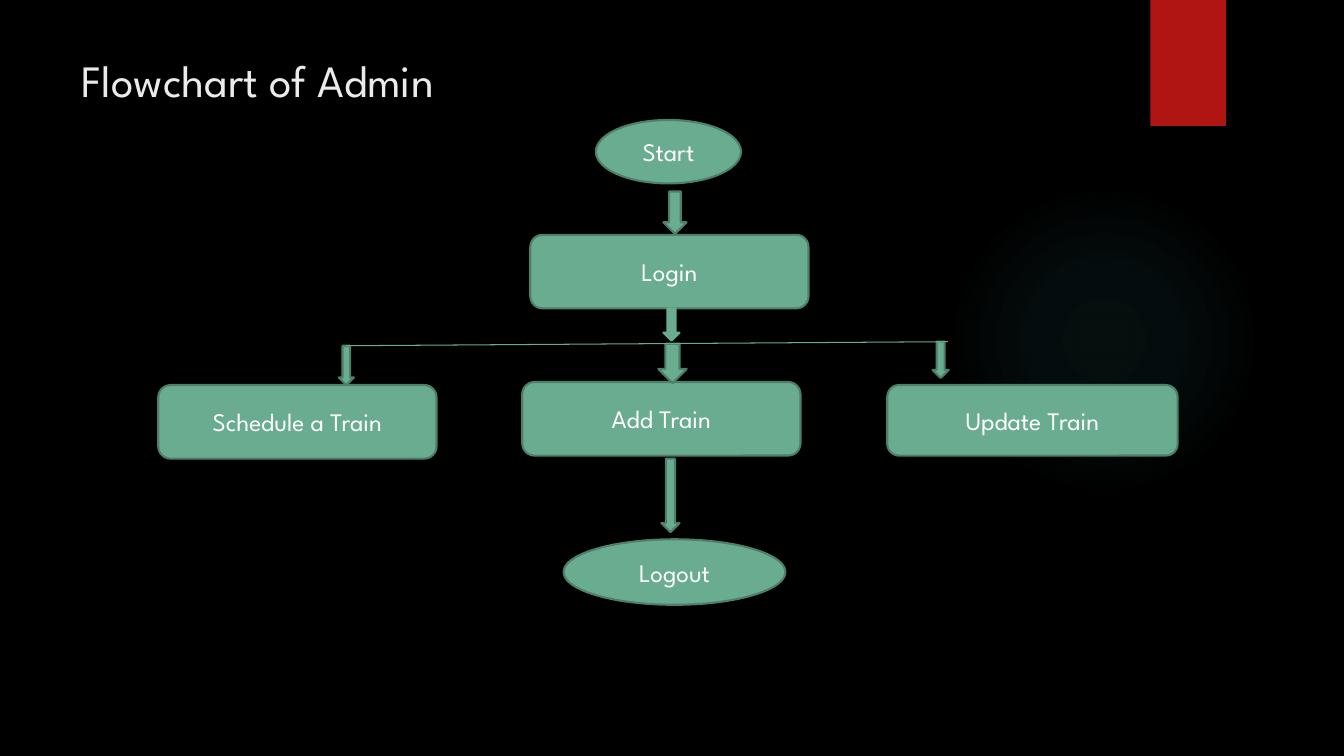
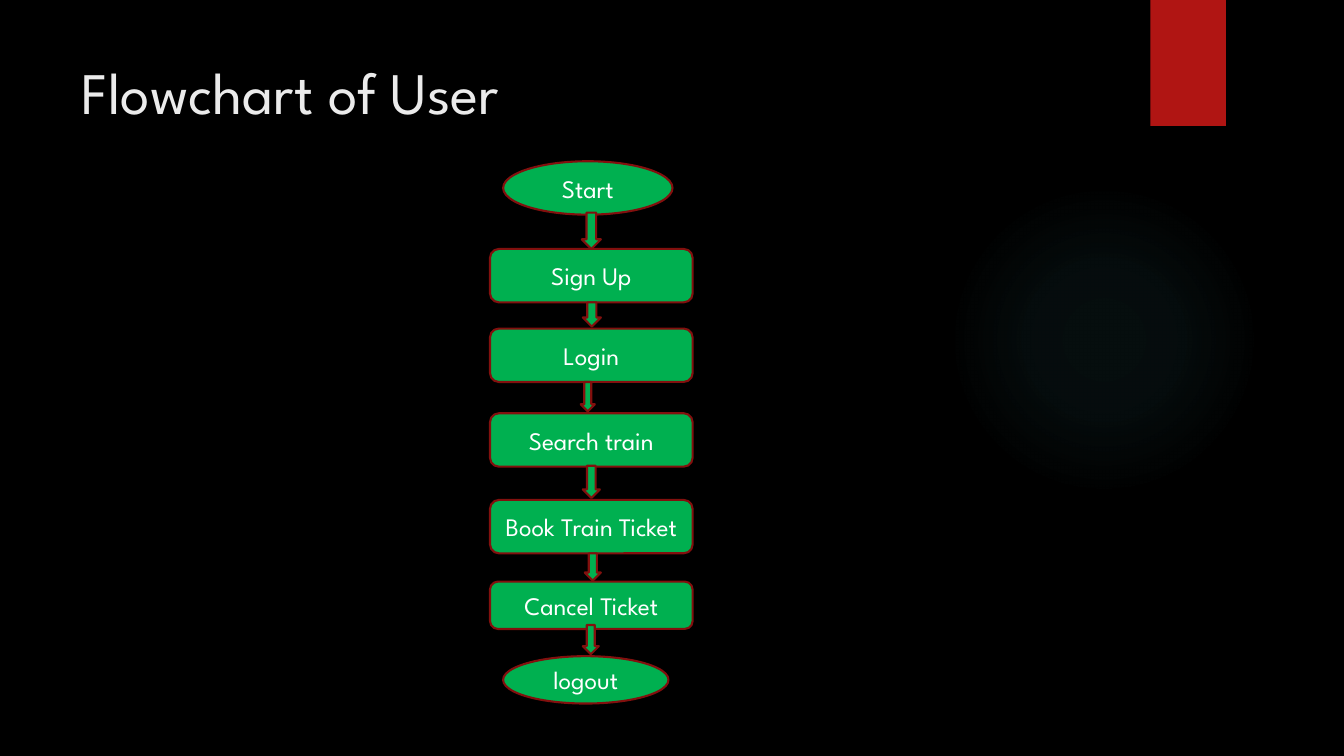
from pptx import Presentation, util as u
from pptx.dml.color import RGBColor
from pptx.enum import shapes, text
from pptx.oxml import parse_xml
from pptx.oxml.ns import nsdecls, qn

CELL = 0.1  # side of one grid cell in inches
FONT = "League Spartan"
OVAL = shapes.MSO_SHAPE.OVAL
ROUND = shapes.MSO_SHAPE.ROUNDED_RECTANGLE
ARROW = shapes.MSO_SHAPE.DOWN_ARROW
RECT = shapes.MSO_SHAPE.RECTANGLE


def rgb(code):
    return RGBColor.from_string(code)


def grid(*cells):
    """Columns or rows of the grid as lengths."""
    return [u.Inches(round(n * CELL, 2)) for n in cells]


def dress(obj, fmt):
    for name, value in fmt.items():
        setattr(obj, name, value)


class Deck:
    ground, band, glow, ink, head = "000000", "B01513", "50B9C1", "FFFFFF", "EBEBEB"

    def __init__(self):
        self.prs = Presentation()
        dress(self.prs, {"slide_width": u.Inches(13.33), "slide_height": u.Inches(7.5)})
        back = self.prs.slide_master.background.fill
        back.solid()
        back.fore_color.rgb = rgb(self.ground)

    # A slide with its shared backdrop and title
    def page(self, title, size, top, fill, edge):
        self.slide = self.prs.slides.add_slide(self.prs.slide_layouts[5])
        self.fill, self.edge = fill, edge
        self.halo()
        self.ribbon()
        self.title(title, size, top)

    def halo(self):
        orb = self.shape(OVAL, (94.1, 18.3, 30.8, 30.8))
        orb.fill.gradient()
        stops = "".join(
            f'<a:gs pos="{pos * 1000}"><a:srgbClr val="{self.glow}">'
            f'<a:alpha val="{alpha * 1000}"/></a:srgbClr></a:gs>'
            for pos, alpha in ((0, 7), (36, 6), (69, 0)))
        old = orb.element.spPr.find(qn("a:gradFill"))
        old.getparent().replace(old, parse_xml(
            f'<a:gradFill {nsdecls("a")} rotWithShape="1"><a:gsLst>{stops}</a:gsLst>'
            '<a:path path="circle"><a:fillToRect l="50000" t="50000" r="50000" b="50000"/>'
            '</a:path></a:gradFill>'))

    def ribbon(self):
        flag = self.shape(RECT, (114.1, 0, 7.5, 12.5), self.band)
        flag.element.spPr.find(qn("a:effectLst")).append(parse_xml(
            f'<a:outerShdw {nsdecls("a")} blurRad="{u.Pt(3)}" dist="{u.Pt(2)}" '
            'dir="5400000" rotWithShape="0"><a:srgbClr val="000000">'
            '<a:alpha val="45000"/></a:srgbClr></a:outerShdw>'))

    def title(self, words, size, top):
        box = self.slide.shapes.title
        box.element.getparent().append(box.element)  # in front of the backdrop
        dress(box, dict(zip(("left", "top", "width", "height"), grid(7.1, top, 102.9, 15.3))))
        self.label(box, words, size, self.head, text.PP_ALIGN.LEFT, text.MSO_ANCHOR.TOP)

    # Basic elements
    def shape(self, kind, at, fill=None, edge=None):
        item = self.slide.shapes.add_shape(kind, *grid(*at))
        item.shadow.inherit = False
        if fill:
            item.fill.solid()
            item.fill.fore_color.rgb = rgb(fill)
        if edge:
            item.line.color.rgb = rgb(edge)
            item.line.width = u.Pt(1.5)
        else:
            item.line.fill.background()
        return item

    def label(self, item, words, size, color, align, anchor):
        frame = item.text_frame
        dress(frame, {"text": words, "word_wrap": True, "vertical_anchor": anchor,
                      "auto_size": text.MSO_AUTO_SIZE.NONE})
        line = frame.paragraphs[0]
        line.alignment = align
        font = line.runs[0].font
        dress(font, {"name": FONT, "size": u.Pt(size)})
        font.color.rgb = rgb(color)

    # Flowchart parts
    def step(self, kind, words, *at):
        item = self.shape(kind, at, self.fill, self.edge)
        self.label(item, words, 18, self.ink, text.PP_ALIGN.CENTER, text.MSO_ANCHOR.MIDDLE)

    def arrow(self, *at, edge=None):
        self.shape(ARROW, at, self.fill, edge or self.edge)

    def line(self, *ends):
        rule = self.slide.shapes.add_connector(shapes.MSO_CONNECTOR.STRAIGHT, *grid(*ends))
        rule.line.color.rgb = rgb(self.fill)
        rule.line.width = u.Pt(0.75)
        rule.element.spPr.append(parse_xml(f'<a:effectLst {nsdecls("a")}/>'))


def admin(deck):
    deck.page("Flowchart of Admin", 32, 4.7, "6AAC90", "4E7F6B")
    for step in (
        (OVAL, "Start", 59.1, 11.9, 14.4, 6.3),
        (ROUND, "Login", 52.6, 23.3, 27.6, 7.3),
        (ROUND, "Add Train", 51.8, 37.9, 27.6, 7.3),
        (ROUND, "Schedule a Train", 15.7, 38.2, 27.6, 7.3),
        (ROUND, "Update Train", 88, 38.2, 28.8, 7),
        (OVAL, "Logout", 55.9, 53.5, 22, 6.5),
    ):
        deck.step(*step)
    for at in (
        (92.5, 33.9, 1.6, 3.6),
        (65.8, 19, 2.3, 4.2),
        (65.3, 34.1, 2.8, 3.9),
        (65.6, 45.5, 1.8, 7.3),
        (33.6, 34.3, 1.5, 3.9),
    ):
        deck.arrow(*at)
    # Branch line and the arrow that feeds it
    deck.line(34.3, 34.3, 94, 33.9)
    deck.arrow(65.8, 30.6, 1.6, 3.2, edge=deck.fill)


def user(deck):
    deck.page("Flowchart of User", 42, 5, "00B050", "82100E")
    deck.step(OVAL, "Start", 49.9, 16, 16.8, 5.3)
    for words, top, high in (
        ("Sign Up", 24.7, 5.3),
        ("Login", 32.6, 5.3),
        ("Search train", 41, 5.3),
        ("Book Train Ticket", 49.6, 5.3),
        ("Cancel Ticket", 57.7, 4.7),
    ):
        deck.step(ROUND, words, 48.6, top, 20.1, high)
    deck.step(OVAL, "logout", 49.9, 65.1, 16.4, 4.7)
    for at in (
        (57.7, 21.1, 1.9, 3.6),
        (57.8, 30, 1.8, 2.4),
        (57.6, 37.9, 1.4, 2.9),
        (57.8, 46.2, 1.7, 3.2),
        (58, 54.9, 1.6, 2.7),
        (57.8, 62, 1.6, 2.9),
    ):
        deck.arrow(*at)


def main():
    deck = Deck()
    admin(deck)
    user(deck)
    deck.prs.save("out.pptx")


if __name__ == "__main__":
    main()
